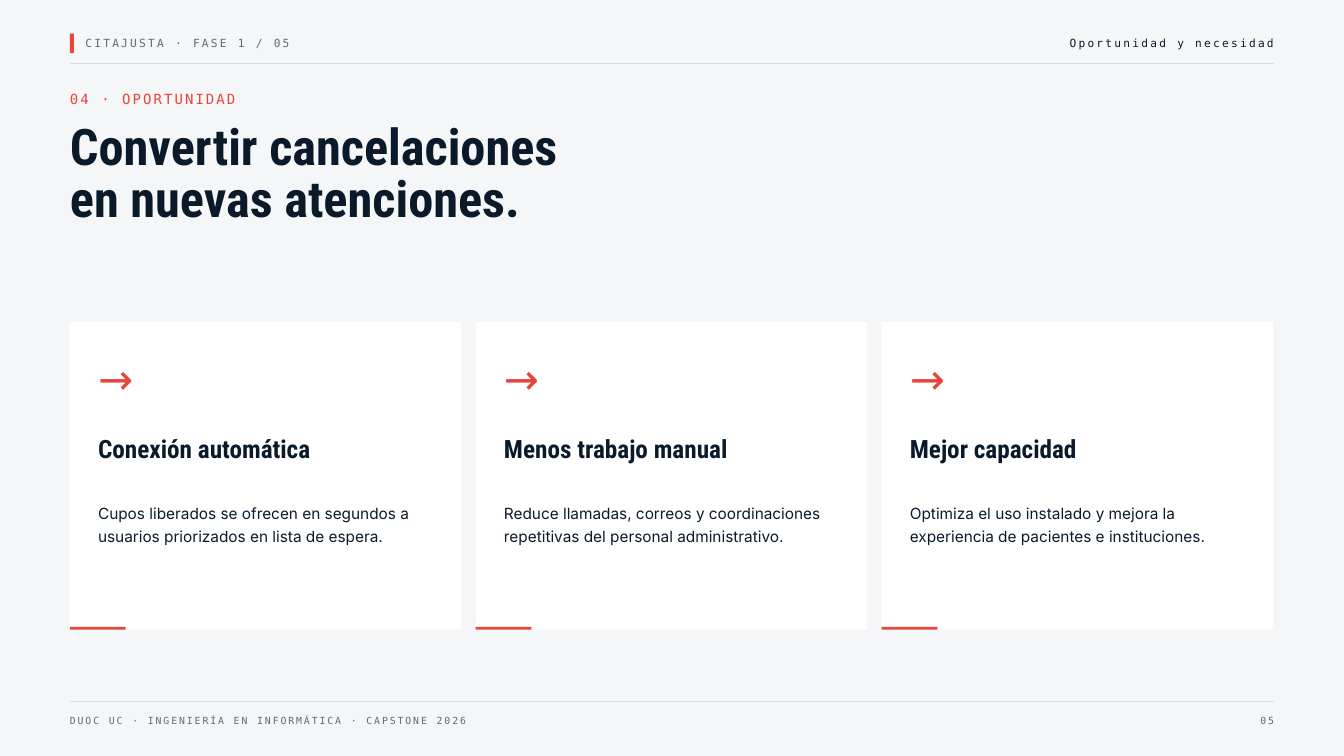
"""Build the opportunity slide: header, title, three benefit cards and footer."""
from lxml.etree import SubElement
from pptx import Presentation
from pptx.dml.color import RGBColor
from pptx.enum.shapes import MSO_CONNECTOR, MSO_SHAPE
from pptx.enum.text import MSO_AUTO_SIZE, PP_ALIGN
from pptx.oxml.ns import qn
from pptx.util import Inches, Pt

MONO, TITLE, BODY = "DejaVu Sans Mono", "Roboto Condensed", "Inter"
NAVY, GRAY, RED = "0B1A2B", "5C6B7A", "E8443A"
LEFT, RIGHT = 1.04, 18.96

deck = Presentation()
deck.slide_width, deck.slide_height = Inches(20), Inches(11.25)
page = deck.slides.add_slide(deck.slide_layouts[6])
page.background.fill.solid()
page.background.fill.fore_color.rgb = RGBColor.from_string("F4F6F8")


def add_block(left, top, width, height, color):
    block = page.shapes.add_shape(
        MSO_SHAPE.RECTANGLE, Inches(left), Inches(top), Inches(width), Inches(height))
    block.shadow.inherit = False
    block.fill.solid()
    block.fill.fore_color.rgb = RGBColor.from_string(color)
    block.line.fill.background()


def add_text(text, left, top, width, height, font, size, leading, color,
             bold=False, spacing=0, align=PP_ALIGN.LEFT):
    box = page.shapes.add_textbox(Inches(left), Inches(top), Inches(width), Inches(height))
    frame = box.text_frame
    frame.margin_left = frame.margin_top = frame.margin_right = frame.margin_bottom = 0
    frame.word_wrap = True
    frame.auto_size = MSO_AUTO_SIZE.SHAPE_TO_FIT_TEXT
    frame.text = text
    for para in frame.paragraphs:
        para.alignment = align
        para.line_spacing = Pt(leading)
        for span in para.runs:
            span.font.name, span.font.size, span.font.bold = font, Pt(size), bold
            span.font.color.rgb = RGBColor.from_string(color)
            if spacing:
                span._r.get_or_add_rPr().set("spc", str(round(spacing * 100)))


add_block(LEFT, 0.5, 0.06, 0.29, RED)
add_text("CITAJUSTA · FASE 1 / 05", 1.27, 0.51, 6.25, 0.23, MONO, 12, 16.8, GRAY, spacing=2.4)
add_text("Oportunidad y necesidad", 11.67, 0.51, 7.29, 0.23, MONO, 12, 16.8, NAVY,
         spacing=2.4, align=PP_ALIGN.RIGHT)
add_text("DUOC UC · INGENIERÍA EN INFORMÁTICA · CAPSTONE 2026", LEFT, 10.6, 12.5, 0.19,
         MONO, 10.5, 14.7, GRAY, spacing=2.1)
add_text("05", 16.88, 10.6, 2.08, 0.19, MONO, 10.5, 14.7, GRAY,
         spacing=2.1, align=PP_ALIGN.RIGHT)

for rule_top in (0.94, 10.44):
    rule = page.shapes.add_connector(
        MSO_CONNECTOR.STRAIGHT, Inches(LEFT), Inches(rule_top), Inches(RIGHT), Inches(rule_top))
    rule.line.color.rgb = RGBColor.from_string("D6DDE4")
    rule.line.width = Pt(0.75)
    SubElement(rule._element.spPr, qn("a:effectLst"))

add_text("04 · OPORTUNIDAD", LEFT, 1.31, 4.17, 0.29, MONO, 15, 21, RED, spacing=2.2)
add_text("Convertir cancelaciones\nen nuevas atenciones.", LEFT, 1.85, 16.67, 1.57,
         TITLE, 54, 55.1, NAVY, bold=True)

cards = [
    ("Conexión automática",
     "Cupos liberados se ofrecen en segundos a usuarios priorizados en lista de espera."),
    ("Menos trabajo manual",
     "Reduce llamadas, correos y coordinaciones repetitivas del personal administrativo."),
    ("Mejor capacidad",
     "Optimiza el uso instalado y mejora la experiencia de pacientes e instituciones."),
]
for index, (heading, detail) in enumerate(cards):
    card_left = LEFT + index * 6.04
    text_left = card_left + 0.42
    add_block(card_left, 4.79, 5.83, 4.58, "FFFFFF")
    add_block(card_left, 9.33, 0.83, 0.04, RED)
    add_text("→", text_left, 5.12, 0.83, 0.83, TITLE, 45, 63, RED)
    add_text(heading, text_left, 6.48, 5, 0.42, TITLE, 27, 29.7, NAVY, bold=True)
    add_text(detail, text_left, 7.45, 5, 0.64, BODY, 16.5, 23.9, NAVY)

deck.save("out.pptx")
